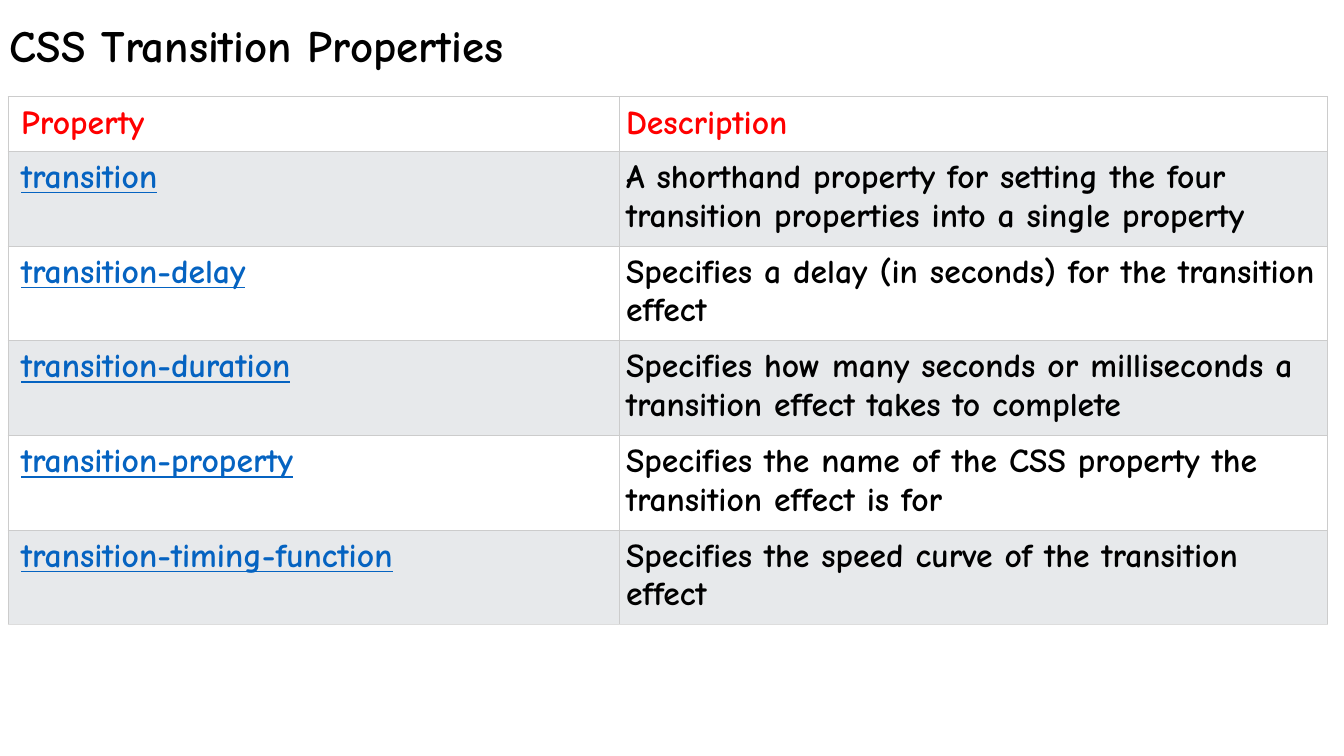
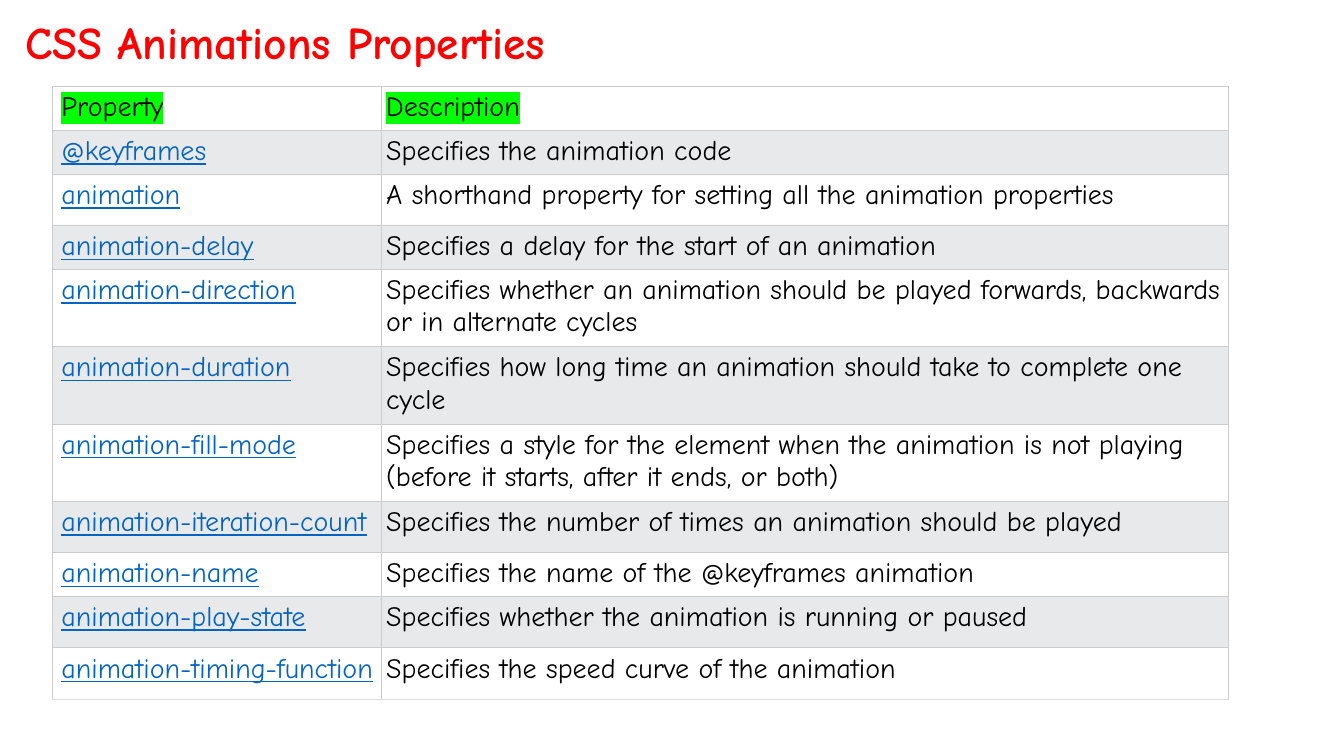
from lxml import etree
from pptx import Presentation
from pptx.dml.color import RGBColor
from pptx.enum import text
from pptx.oxml import ns
from pptx.util import Inches, Pt

FONT = "Comic Neue"
BLACK = RGBColor(0x00, 0x00, 0x00)
WHITE = RGBColor(0xFF, 0xFF, 0xFF)
RED = RGBColor(0xFF, 0x00, 0x00)
GREEN = RGBColor(0x00, 0xFF, 0x00)
LINK_BLUE = RGBColor(0x05, 0x63, 0xC1)
BAND_GREY = RGBColor(0xE7, 0xE9, 0xEB)
BORDER = RGBColor(0xCC, 0xCC, 0xCC)
LAST_BORDER = RGBColor(0xDD, 0xDD, 0xDD)

HEADINGS = ("Property", "Description")
PAGES = [
    {
        "title": "CSS Transition Properties",
        "title_at": (0, 0, 11.5, 0.96),
        "title_format": {"size": 32, "color": BLACK},
        "table_at": (0.08, 0.96),
        "columns": (6.06, 7.03),
        "size": 24,
        "bold": True,
        "heading_format": {"color": RED},
        "margin": 0.07,
        "first_margin": 0.13,
        "heading_height": 0.52,
        "rows": [
            ("transition", "A shorthand property for setting the four transition properties "
             "into a single property", 0.9),
            ("transition-delay", "Specifies a delay (in seconds) for the transition effect", 0.9),
            ("transition-duration", "Specifies how many seconds or milliseconds a transition "
             "effect takes to complete", 0.9),
            ("transition-property", "Specifies the name of the CSS property the transition "
             "effect is for", 0.9),
            ("transition-timing-function", "Specifies the speed curve of the transition effect",
             0.9),
        ],
    },
    {
        "title": "CSS Animations Properties",
        "title_at": (0.15, 0, 11.5, 0.89),
        "title_format": {"size": 32.4, "color": RED},
        "table_at": (0.52, 0.86),
        "columns": (3.26, 8.4),
        "size": 20,
        "bold": False,
        "heading_format": {"color": BLACK, "highlight": GREEN},
        "margin": 0.05,
        "first_margin": 0.09,
        "heading_height": 0.41,
        "rows": [
            ("@keyframes", "Specifies the animation code", 0.41),
            ("animation", "A shorthand property for setting all the animation properties", 0.51),
            ("animation-delay", "Specifies a delay for the start of an animation", 0.41),
            ("animation-direction", "Specifies whether an animation should be played forwards, "
             "backwards or in alternate cycles", 0.73),
            ("animation-duration", "Specifies how long time an animation should take to "
             "complete one cycle", 0.73),
            ("animation-fill-mode", "Specifies a style for the element when the animation is "
             "not playing (before it starts, after it ends, or both)", 0.73),
            ("animation-iteration-count", "Specifies the number of times an animation should "
             "be played", 0.51),
            ("animation-name", "Specifies the name of the @keyframes animation", 0.41),
            ("animation-play-state", "Specifies whether the animation is running or paused", 0.51),
            ("animation-timing-function", "Specifies the speed curve of the animation", 0.51),
        ],
    },
]


def write(frame, words, size, color, bold=False, underline=False, highlight=None):
    para = frame.paragraphs[0]
    span = para.add_run()
    span.text = words
    font = span.font
    font.name, font.size = FONT, Pt(size)
    font.bold, font.underline = bold, underline
    font.color.rgb = color
    if highlight is not None:
        mark = etree.Element(ns.qn("a:highlight"))
        etree.SubElement(mark, ns.qn("a:srgbClr"), val=str(highlight))
        font._element.find(ns.qn("a:solidFill")).addnext(mark)
    return para


def add_borders(cell, bottom):
    """Draw thin lines on all four sides, the lower one in its own colour."""
    properties = cell._tc.get_or_add_tcPr()
    sides = {"lnL": BORDER, "lnR": BORDER, "lnT": BORDER, "lnB": bottom}
    for index, (side, color) in enumerate(sides.items()):
        line = etree.Element(ns.qn(f"a:{side}"), w=str(Pt(0.6)))
        fill = etree.SubElement(line, ns.qn("a:solidFill"))
        etree.SubElement(fill, ns.qn("a:srgbClr"), val=str(color))
        properties.insert(index, line)


deck = Presentation()
deck.slide_width, deck.slide_height = Inches(13.33), Inches(7.5)

for content in PAGES:
    page = deck.slides.add_slide(deck.slide_layouts[6])

    box = page.shapes.add_textbox(*map(Inches, content["title_at"]))
    box.text_frame.word_wrap = True
    box.text_frame.vertical_anchor = text.MSO_ANCHOR.MIDDLE
    title = write(box.text_frame, content["title"], bold=True, **content["title_format"])
    title.line_spacing = 0.9

    rows = [(*HEADINGS, content["heading_height"]), *content["rows"]]
    width = sum(content["columns"])
    height = sum(row[-1] for row in rows)
    left, top = content["table_at"]
    table = page.shapes.add_table(len(rows), len(HEADINGS), Inches(left), Inches(top),
                                  Inches(width), Inches(height)).table
    table.first_row = table.horz_banding = False
    for column, column_width in zip(table.columns, content["columns"]):
        column.width = Inches(column_width)

    body_formats = ({"color": LINK_BLUE, "underline": True}, {"color": BLACK})
    margin = Inches(content["margin"])
    for r, (*words, row_height) in enumerate(rows):
        table.rows[r].height = Inches(row_height)
        for c, entry in enumerate(words):
            cell = table.cell(r, c)
            cell.margin_left = Inches(content["first_margin"]) if c == 0 else margin
            cell.margin_top = cell.margin_right = cell.margin_bottom = margin
            cell.fill.solid()
            cell.fill.fore_color.rgb = BAND_GREY if r % 2 else WHITE
            add_borders(cell, LAST_BORDER if r == len(rows) - 1 else BORDER)
            style = content["heading_format"] if r == 0 else body_formats[c]
            write(cell.text_frame, entry, content["size"], bold=content["bold"], **style)

deck.save("out.pptx")
